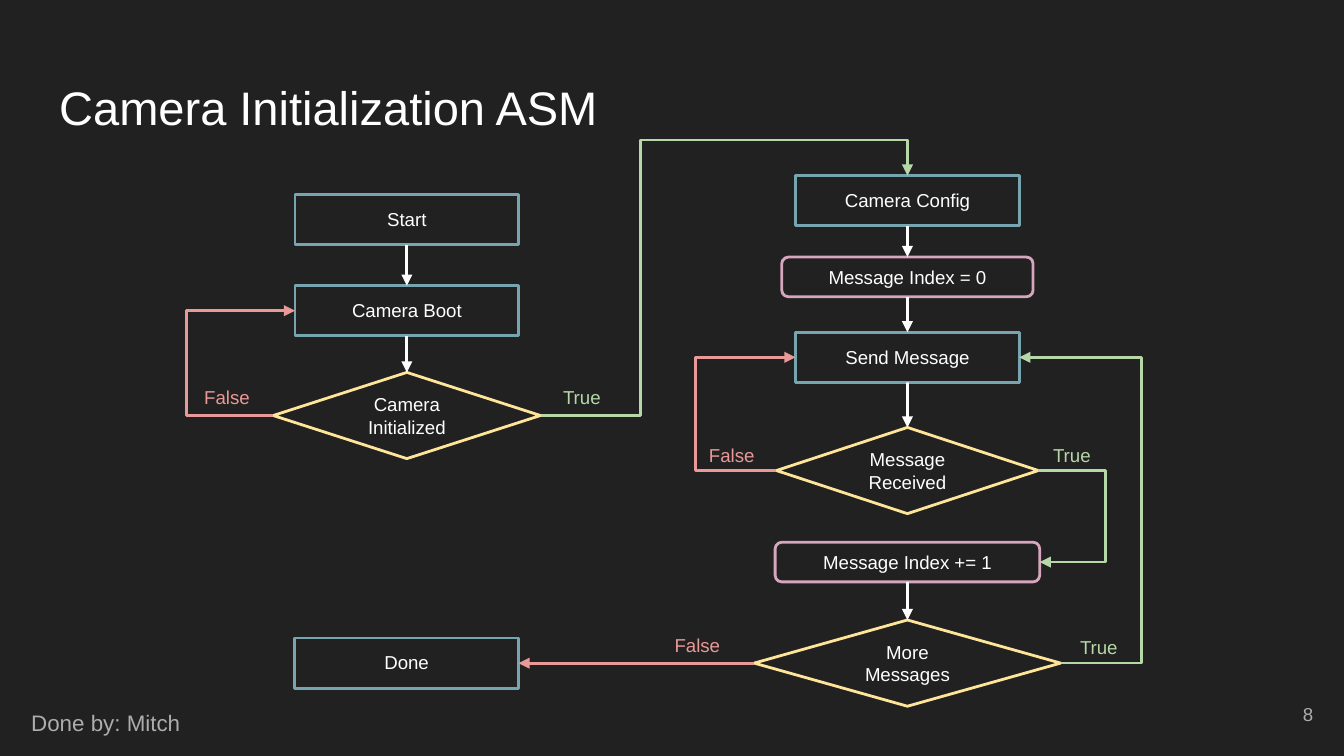
from lxml import etree
from pptx import Presentation
from pptx.dml.color import RGBColor
from pptx.enum.shapes import MSO_CONNECTOR as CONN, MSO_SHAPE as SHAPE
from pptx.enum.text import MSO_ANCHOR as ANCHOR, PP_ALIGN as ALIGN
from pptx.oxml.ns import qn
from pptx.util import Cm, Pt

COLORS = {
    "background": "212121", "text": "FFFFFF", "muted": "ADADAD",
    "state": "76A5AF", "decision": "FFE599", "action": "D5A6BD",
    "true": "B6D7A8", "false": "EA9999",
}
# kind: preset, height in cm, vertical anchor
NODES = {
    "state": (SHAPE.RECTANGLE, 0.95, ANCHOR.TOP),
    "decision": (SHAPE.FLOWCHART_DECISION, 1.63, ANCHOR.MIDDLE),
    "action": (SHAPE.FLOWCHART_ALTERNATE_PROCESS, 0.75, ANCHOR.MIDDLE),
}
STATE_WIDTH = 4.23
TOP, LEFT, BOTTOM, RIGHT = range(4)


def rgb(name):
    return RGBColor.from_string(COLORS[name])


def write(s, text, size, color, align, anchor):
    tf = s.text_frame
    tf.word_wrap = True
    tf.vertical_anchor = anchor
    tf.margin_left = tf.margin_right = tf.margin_top = tf.margin_bottom = Cm(0.25)
    tf.text = text
    p = tf.paragraphs[0]
    p.alignment = align
    font = p.runs[0].font
    font.name, font.size = "Arial", Pt(size)
    font.color.rgb = rgb(color)


def add_text(slide, box, text, size=10, color="text", align=ALIGN.LEFT, anchor=ANCHOR.TOP):
    s = slide.shapes.add_textbox(*map(Cm, box))
    write(s, text, size, color, align, anchor)


def add_branch(slide, x, y, value):
    """Label a decision exit as True or False."""
    align = ALIGN.RIGHT if value else ALIGN.LEFT
    add_text(slide, (x, y, 1.63 if value else 1.75, 0.94), str(value),
             color=str(value).lower(), align=align)


def add_node(slide, kind, center, top, text, width=STATE_WIDTH):
    preset, height, anchor = NODES[kind]
    s = slide.shapes.add_shape(preset, Cm(center - width / 2), Cm(top), Cm(width), Cm(height))
    s.shadow.inherit = False
    s.fill.background()
    s.line.color.rgb = rgb(kind)
    s.line.width = Pt(1.5)
    write(s, text, 10, "text", ALIGN.CENTER, anchor)
    return s


def site(s, side):
    """Return the middle of one side of a node."""
    x, y = s.left + s.width // 2, s.top + s.height // 2
    return {TOP: (x, s.top), LEFT: (s.left, y),
            BOTTOM: (x, s.top + s.height), RIGHT: (s.left + s.width, y)}[side]


def link(start, start_side, end, end_side, slide, color="text", rail_x=None, rail_y=None):
    """Join two nodes by an arrow, bent along a vertical and a horizontal rail if given."""
    (x1, y1), (x2, y2) = site(start, start_side), site(end, end_side)
    style = CONN.STRAIGHT if rail_x is None else CONN.ELBOW
    c = slide.shapes.add_connector(style, x1, y1, x2, y2)
    c.begin_connect(start, start_side)
    c.end_connect(end, end_side)
    c.line.color.rgb = rgb(color)
    c.line.width = Pt(1.5)
    etree.SubElement(c.line._get_or_add_ln(), qn("a:tailEnd"), type="triangle")
    sp_pr = c._element.spPr
    etree.SubElement(sp_pr, qn("a:effectLst"))
    if rail_x is None:
        return
    bends = [(Cm(rail_x) - x1) / (x2 - x1)]
    if rail_y is not None:
        bends.append((Cm(rail_y) - y1) / (y2 - y1))
    geom = sp_pr.find(qn("a:prstGeom"))
    geom.set("prst", f"bentConnector{len(bends) + 2}")
    guides = geom.find(qn("a:avLst"))
    if guides is None:
        guides = etree.SubElement(geom, qn("a:avLst"))
    for i, bend in enumerate(bends, 1):
        etree.SubElement(guides, qn("a:gd"), name=f"adj{i}", fmla=f"val {round(bend * 100000)}")


def draw_title(slide, box):
    add_text(slide, box, "Camera Initialization ASM", size=25.2)


def draw_footer(slide, box):
    x, y, w, h = box
    add_text(slide, (x, y + 0.2, 5.5, 1), "Done by: Mitch", size=12, color="muted")
    add_text(slide, (x + w - 1.52, y, 1.52, h), "8", color="muted",
             align=ALIGN.RIGHT, anchor=ANCHOR.MIDDLE)


def draw_boot_flow(slide, box):
    """Draw the boot loop and return its decision."""
    x, y, w, h = box
    center = x + 4.16
    start = add_node(slide, "state", center, y, "Start")
    boot = add_node(slide, "state", center, y + 1.72, "Camera Boot")
    ready = add_node(slide, "decision", center, y + h - 1.63, "Camera Initialized", 5.05)
    link(start, BOTTOM, boot, TOP, slide)
    link(boot, BOTTOM, ready, TOP, slide)
    link(ready, LEFT, boot, LEFT, slide, "false", rail_x=x)
    add_branch(slide, x + 0.08, y + 3.41, False)
    add_branch(slide, x + w - 2.16, y + 3.41, True)
    return ready


def draw_message_flow(slide, box):
    """Draw the message loop and return its first node and its last decision."""
    x, y, w, h = box
    center = x + 4
    steps = [
        ("state", 0, "Camera Config", STATE_WIDTH),
        ("action", 1.54, "Message Index = 0", 4.75),
        ("state", 2.96, "Send Message", STATE_WIDTH),
        ("decision", 4.76, "Message Received", 4.95),
        ("action", 6.93, "Message Index += 1", 5),
        ("decision", h - 1.63, "More Messages", 5.79),
    ]
    nodes = [add_node(slide, kind, center, y + top, text, width)
             for kind, top, text, width in steps]
    config, reset, send, received, increment, more = nodes
    for upper, lower in ((config, reset), (reset, send), (send, received), (increment, more)):
        link(upper, BOTTOM, lower, TOP, slide)
    link(received, LEFT, send, LEFT, slide, "false", rail_x=x)
    link(received, RIGHT, increment, RIGHT, slide, "true", rail_x=x + w - 0.68)
    link(more, RIGHT, send, RIGHT, slide, "true", rail_x=x + w)
    add_branch(slide, x, y + 4.86, False)
    add_branch(slide, x + 6.08, y + 4.86, True)
    add_branch(slide, x + 6.59, y + 8.49, True)
    return config, more


def draw_finish(slide, box, more):
    """Draw the final state, reached from the last decision."""
    x, y, w, h = box
    done = add_node(slide, "state", x + STATE_WIDTH / 2, y + h - 0.95, "Done")
    link(more, LEFT, done, RIGHT, slide, "false")
    add_branch(slide, x + w - 1.75, y, False)


def main():
    prs = Presentation()
    prs.slide_width, prs.slide_height = Cm(25.4), Cm(14.29)
    slide = prs.slides.add_slide(prs.slide_layouts[6])
    fill = slide.background.fill
    fill.solid()
    fill.fore_color.rgb = rgb("background")

    draw_title(slide, (0.87, 1.24, 23.67, 1.6))
    draw_footer(slide, (0.34, 12.95, 24.73, 1.1))
    ready = draw_boot_flow(slide, (3.53, 3.68, 8.6, 4.99))
    config, more = draw_message_flow(slide, (13.15, 3.32, 8.42, 10.03))
    link(ready, RIGHT, config, TOP, slide, "true", rail_x=12.11, rail_y=2.65)
    draw_finish(slide, (5.57, 11.76, 8.68, 1.25), more)
    prs.save("out.pptx")


if __name__ == "__main__":
    main()
